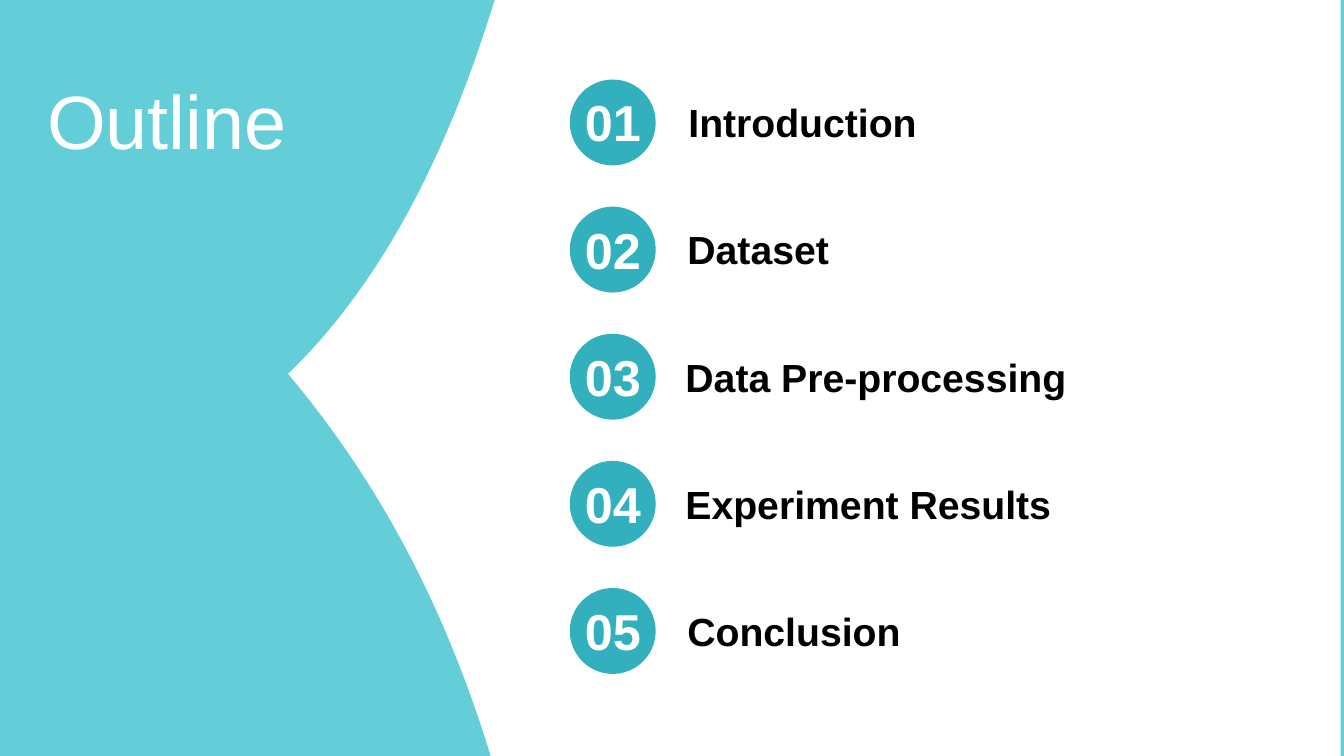
from pptx import Presentation
from pptx.dml.color import RGBColor
from pptx.enum.shapes import MSO_SHAPE
from pptx.enum.text import MSO_ANCHOR, MSO_AUTO_SIZE, PP_ALIGN
from pptx.util import Pt


def paint(fill, color):
    fill.solid()
    fill.fore_color.rgb = RGBColor.from_string(color)


def add_text(text, left, top, width, height, font, align=PP_ALIGN.LEFT,
             anchor=MSO_ANCHOR.TOP, side_inset=8.64):
    box = slide.shapes.add_textbox(Pt(left), Pt(top), Pt(width), Pt(height))
    frame = box.text_frame
    layout = {
        "word_wrap": True,
        "auto_size": MSO_AUTO_SIZE.SHAPE_TO_FIT_TEXT,
        "vertical_anchor": anchor,
        "margin_left": Pt(side_inset),
        "margin_right": Pt(side_inset),
        "margin_top": Pt(3.6),
        "margin_bottom": Pt(3.6),
    }
    for name, value in layout.items():
        setattr(frame, name, value)
    paragraph = frame.paragraphs[0]
    paragraph.alignment = align
    run = paragraph.add_run()
    run.text = text
    for name, value in font.items():
        if name == "color":
            paint(run.font.fill, value)
        else:
            setattr(run.font, name, value)


TITLE_FONT = {"name": "Arial", "size": Pt(54), "bold": False, "color": "FFFFFF"}
NUMBER_FONT = {"name": "Arial", "size": Pt(36), "bold": True, "color": "FFFFFF"}
TOPIC_FONT = {"name": "Arial", "size": Pt(28), "bold": True, "color": "000000"}

deck = Presentation()
deck.slide_width, deck.slide_height = Pt(960), Pt(540)
slide = deck.slides.add_slide(deck.slide_layouts[6])
paint(slide.background.fill, "64CED8")

# White area with a curved, pointed left edge
edge_curves = [
    [(346.3, 526.3), (313.9, 426.2), (269.3, 342.7), (205.9, 267.1)],
    [(205.9, 267.1), (267.1, 208.1), (313.2, 123.8), (347, 20.2)],
]
STEPS = 24
outline = [(957.6, 0), (957.6, 540), (350.6, 540)]
for curve in edge_curves:
    for step in range(STEPS + 1):
        t = step / STEPS
        weights = ((1 - t) ** 3, 3 * t * (1 - t) ** 2, 3 * t ** 2 * (1 - t), t ** 3)
        outline.append(tuple(sum(w * point[axis] for w, point in zip(weights, curve))
                             for axis in (0, 1)))
builder = slide.shapes.build_freeform(Pt(353.5), Pt(0))
builder.add_line_segments([(Pt(x), Pt(y)) for x, y in outline], close=True)
white_area = builder.convert_to_shape()
white_area.shadow.inherit = False
paint(white_area.fill, "FFFFFF")
white_area.line.fill.background()

# Title
add_text("Outline", 26.6, 49, 275, 72.7, TITLE_FONT,
         anchor=MSO_ANCHOR.MIDDLE, side_inset=7.2)

# Numbered topics
topics = [
    ("Introduction", 483.1),
    ("Dataset", 482.4),
    ("Data Pre-processing", 481),
    ("Experiment Results", 481),
    ("Conclusion", 482.4),
]
ROW_PITCH = 90.8
for index, (topic, topic_left) in enumerate(topics):
    row_top = 56.8 + index * ROW_PITCH
    add_text(topic, topic_left, row_top + 10.1, 403.2, 41.2, TOPIC_FONT)
    disc = slide.shapes.add_shape(MSO_SHAPE.OVAL, Pt(407), Pt(row_top),
                                  Pt(61.4), Pt(61.4))
    disc.shadow.inherit = False
    paint(disc.fill, "32B0BE")
    disc.line.fill.background()
    add_text(f"{index + 1:02d}", 400, row_top + 5.1, 75.6, 50.9, NUMBER_FONT,
             align=PP_ALIGN.CENTER)

deck.save("out.pptx")
